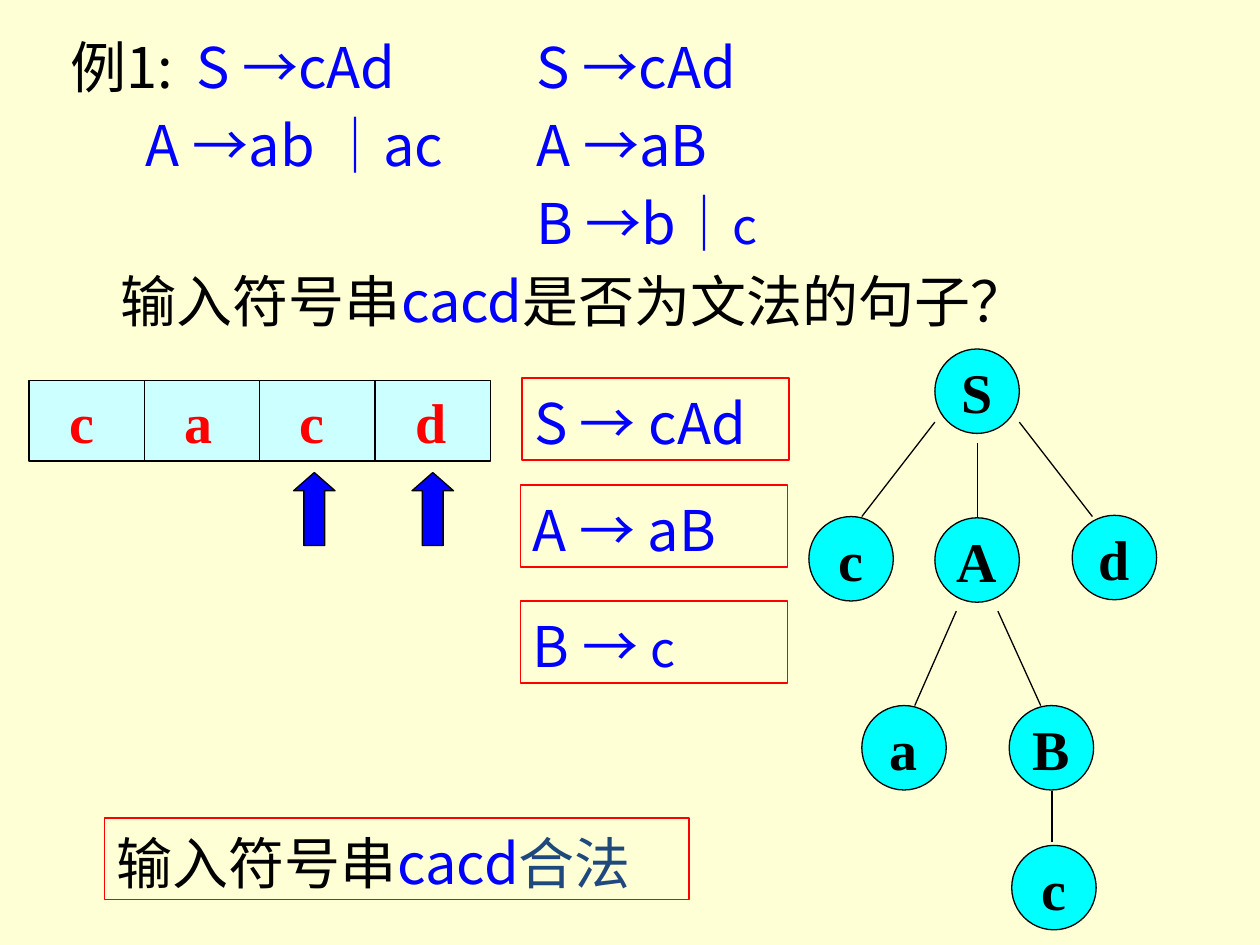
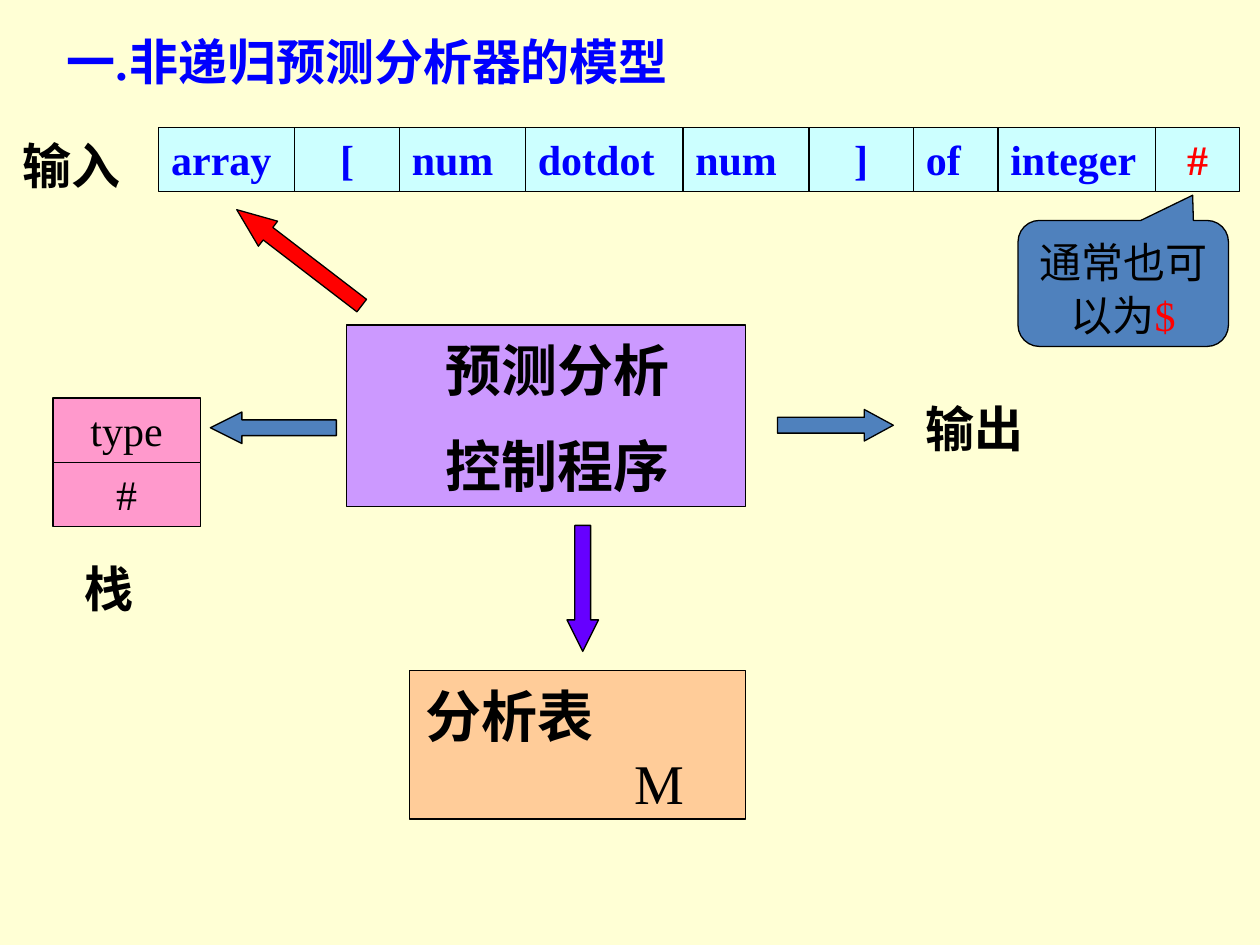
from itertools import accumulate

from lxml import etree
from pptx import Presentation
from pptx.dml.color import RGBColor
from pptx.enum.shapes import MSO_CONNECTOR, MSO_SHAPE
from pptx.enum.text import MSO_ANCHOR, PP_ALIGN
from pptx.oxml.ns import qn
from pptx.util import Inches, Pt

RECTANGLE, OVAL = MSO_SHAPE.RECTANGLE, MSO_SHAPE.OVAL
UP, DOWN = MSO_SHAPE.UP_ARROW, MSO_SHAPE.DOWN_ARROW
LEFT_ARROW, RIGHT_ARROW = MSO_SHAPE.LEFT_ARROW, MSO_SHAPE.RIGHT_ARROW
CALLOUT = MSO_SHAPE.ROUNDED_RECTANGULAR_CALLOUT
STRAIGHT = MSO_CONNECTOR.STRAIGHT
LEFT, CENTER = PP_ALIGN.LEFT, PP_ALIGN.CENTER
TOP, MIDDLE = MSO_ANCHOR.TOP, MSO_ANCHOR.MIDDLE

SANS, SERIF = "Noto Sans CJK SC", "Times New Roman"
CREAM, BLACK, BLUE, RED, NAVY = "FFFFD5", "000000", "0000FF", "FF0000", "1F497D"
CELL, NODE, STEEL, INDIGO = "CCFFFF", "00FFFF", "4F81BD", "6600FF"
PURPLE, ORANGE, PINK = "CC99FF", "FFCC99", "FF99CC"

# A paragraph is a dict: runs of (text, colour[, size]), indent, tab, before
EXAMPLE = [
    {"runs": [("例1:\t", BLACK), ("S →cAd", BLUE)], "tab": 1.23},
    {"runs": [("A →ab │ac", BLUE)], "indent": 0.6, "before": 3.6},
    {"runs": [("输入符号串", BLACK), ("cacd", BLUE), ("是否为文法的句子？", BLACK)],
     "indent": 0.4, "before": 48.5},
]
FACTORED = [
    {"runs": [("S →cAd", BLUE)], "indent": 1.08},
    {"runs": [("A →aB", BLUE)], "indent": 1.08, "before": 3.6},
    {"runs": [("B →b│", BLUE), ("c", BLUE, 28)], "indent": 1.08, "before": 3.6},
]
DERIVATION = [  # left, top, runs
    (4.14, 3.0, [("S → cAd", BLUE)]),
    (4.13, 3.85, [("A → aB", BLUE)]),
    (4.13, 4.77, [("B → ", BLUE), ("c", BLUE, 28)]),
]
VERDICT = [("输入符号串", BLACK), ("cacd", BLUE), ("合法", NAVY)]
INPUT_STRING = "cacd"
POINTER_LEFTS = [2.33, 3.27]
TREE_NODES = [
    ("S", 7.42, 2.77), ("c", 6.42, 4.1), ("A", 7.42, 4.11), ("d", 8.51, 4.09),
    ("a", 6.84, 5.6), ("B", 8.01, 5.6), ("c", 8.03, 6.71),
]
TREE_EDGES = [
    (7.42, 3.35, 6.84, 4.1), (7.76, 3.52, 7.76, 4.1), (8.09, 3.35, 8.67, 4.1),
    (7.59, 4.85, 7.26, 5.6), (7.92, 4.85, 8.26, 5.6), (8.35, 6.28, 8.35, 6.68),
]

TITLE = [{"runs": [("一.\t非递归预测分析器的模型", BLUE)], "indent": 0.26, "tab": 1.13}]
TOKENS = [  # text, width, alignment, colour
    ("array", 1.08, LEFT, BLUE), ("[", 0.83, CENTER, BLUE),
    ("num", 1.0, LEFT, BLUE), ("dotdot", 1.25, LEFT, BLUE),
    ("num", 1.0, LEFT, BLUE), ("]", 0.83, CENTER, BLUE),
    ("of", 0.67, LEFT, BLUE), ("integer", 1.25, LEFT, BLUE),
    ("#", 0.67, CENTER, RED),
]
LABELS = [("输入", 0.08, 1.0, 0), ("输出", 7.25, 3.08, 0), ("栈", 0.42, 4.35, 0.15)]
STACK = ["type", "#"]
CONTROL = [
    {"runs": [("预测分析", BLACK)], "indent": 0.69},
    {"runs": [("控制程序", BLACK)], "indent": 0.69, "before": 13.5},
]
ARROWS = [  # shape, left, top, width, height, head ratio, colour, rotation
    (LEFT_ARROW, 1.67, 3.27, 1.0, 0.25, 1.0, STEEL, 0),
    (RIGHT_ARROW, 6.17, 3.25, 0.92, 0.25, 0.92, STEEL, 0),
    (DOWN, 4.5, 4.17, 0.25, 1.0, 1.0, INDIGO, 0),
    (DOWN, 2.25, 1.42, 0.25, 1.25, 1.25, RED, 127.5),
]


def color(value):
    return RGBColor.from_string(value)


def line(text, text_color=BLACK, **layout):
    """A paragraph of a single run."""
    return {"runs": [(text, text_color)], **layout}


def write(shape, paragraphs, size=32, font=SERIF, bold=False, align=LEFT,
          anchor=TOP, wrap=True):
    frame = shape.text_frame
    frame.word_wrap = wrap
    frame.vertical_anchor = anchor
    for index, content in enumerate(paragraphs):
        para = frame.add_paragraph() if index else frame.paragraphs[0]
        para.alignment = align
        plain = "".join(run[0] for run in content["runs"]).isascii()
        para.line_spacing = Pt(round(size * (1.21 if plain else 1.28), 1))
        para.space_before = Pt(content.get("before", 0))
        properties = para._p.get_or_add_pPr()
        properties.set("marL", str(Inches(content.get("indent", 0))))
        properties.set("indent", "0")
        if "tab" in content:
            tabs = etree.SubElement(properties, qn("a:tabLst"))
            etree.SubElement(tabs, qn("a:tab"), pos=str(Inches(content["tab"])), algn="l")
        for text, text_color, *own_size in content["runs"]:
            span = para.add_run()
            span.text = text
            span.font.name = font
            span.font.size = Pt(own_size[0] if own_size else size)
            span.font.bold = content.get("bold", bold)
            span.font.color.rgb = color(text_color)
            east_asian = etree.SubElement(span.font._element, qn("a:ea"))
            east_asian.set("typeface", SANS)


def add_text(page, left, top, width, height, paragraphs, **style):
    box = page.shapes.add_textbox(*map(Inches, (left, top, width, height)))
    write(box, paragraphs, **style)


def add_figure(page, kind, left, top, width, height, fill=None, outline=BLACK,
               weight=0.75, adjust=(), rotation=0, paragraphs=(), **style):
    figure = page.shapes.add_shape(kind, *map(Inches, (left, top, width, height)))
    figure.shadow.inherit = False
    figure.rotation = rotation
    for index, value in enumerate(adjust):
        figure.adjustments[index] = value
    if fill:
        figure.fill.solid()
        figure.fill.fore_color.rgb = color(fill)
    else:
        figure.fill.background()
    figure.line.color.rgb = color(outline)
    figure.line.width = Pt(weight)
    write(figure, paragraphs, **style)


def add_edge(page, start_x, start_y, end_x, end_y):
    edge = page.shapes.add_connector(
        STRAIGHT, *map(Inches, (start_x, start_y, end_x, end_y)))
    edge.line.color.rgb = color(BLACK)
    edge.line.width = Pt(0.75)
    etree.SubElement(edge._element.spPr, qn("a:effectLst"))


def add_page(deck):
    page = deck.slides.add_slide(deck.slide_layouts[6])
    page.background.fill.solid()
    page.background.fill.fore_color.rgb = color(CREAM)
    return page


def build_parse_example(deck):
    page = add_page(deck)
    add_text(page, 0.46, 0.17, 9.2, 2.58, EXAMPLE, font=SANS)
    add_text(page, 3.08, 0.17, 4.5, 1.91, FACTORED, font=SANS)
    framed = [(left, top, 2.12, runs) for left, top, runs in DERIVATION]
    for left, top, width, runs in framed + [(0.83, 6.49, 4.64, VERDICT)]:
        add_figure(page, RECTANGLE, left, top, width, 0.65, outline=RED, weight=1,
                   paragraphs=[{"runs": runs}], font=SANS)
    for index, symbol in enumerate(INPUT_STRING):
        add_figure(page, RECTANGLE, 0.23 + 0.915 * index, 3.02, 0.92, 0.64, CELL,
                   paragraphs=[line(symbol, RED, indent=0.22)], bold=True)
    for left in POINTER_LEFTS:
        add_figure(page, UP, left, 3.75, 0.33, 0.58, BLUE, adjust=(0.5, 0.44))
    for edge in TREE_EDGES:
        add_edge(page, *edge)
    for symbol, left, top in TREE_NODES:
        add_figure(page, OVAL, left, top, 0.67, 0.67, NODE, paragraphs=[line(symbol)],
                   bold=True, align=CENTER, anchor=MIDDLE, wrap=False)


def build_parser_model(deck):
    page = add_page(deck)
    add_text(page, 0.17, 0.17, 5.99, 0.57, TITLE, size=28, bold=True)
    lefts = accumulate((token[1] for token in TOKENS), initial=1.26)
    for left, (text, width, align, text_color) in zip(lefts, TOKENS):
        add_figure(page, RECTANGLE, left, 1.01, width, 0.51, CELL,
                   paragraphs=[line(text, text_color)], size=24, bold=True, align=align)
    for text, left, top, indent in LABELS:
        add_text(page, left, top, 1.17, 0.57, [line(text, indent=indent)],
                 size=28, bold=True)
    for index, text in enumerate(STACK):
        add_figure(page, RECTANGLE, 0.42, 3.16 + 0.51 * index, 1.17, 0.51, PINK,
                   paragraphs=[line(text)], size=24, align=CENTER)
    add_figure(page, RECTANGLE, 2.75, 2.58, 3.17, 1.44, PURPLE,
               paragraphs=CONTROL, bold=True)
    add_figure(page, RECTANGLE, 3.25, 5.32, 2.67, 1.18, ORANGE,
               paragraphs=[line("分析表", indent=0.03, bold=True),
                           line("M", indent=1.69)])
    for kind, left, top, width, height, head, fill, rotation in ARROWS:
        add_figure(page, kind, left, top, width, height, fill,
                   adjust=(0.5, head), rotation=rotation)
    add_figure(page, CALLOUT, 8.08, 1.75, 1.67, 1.0, STEEL, adjust=(0.33, -0.7, 0.17),
               paragraphs=[{"runs": [("通常也可以为", BLACK), ("$", RED)]}],
               size=24, align=CENTER)


def main():
    deck = Presentation()
    deck.slide_width, deck.slide_height = Inches(10), Inches(7.5)
    build_parse_example(deck)
    build_parser_model(deck)
    deck.save("out.pptx")


if __name__ == "__main__":
    main()
